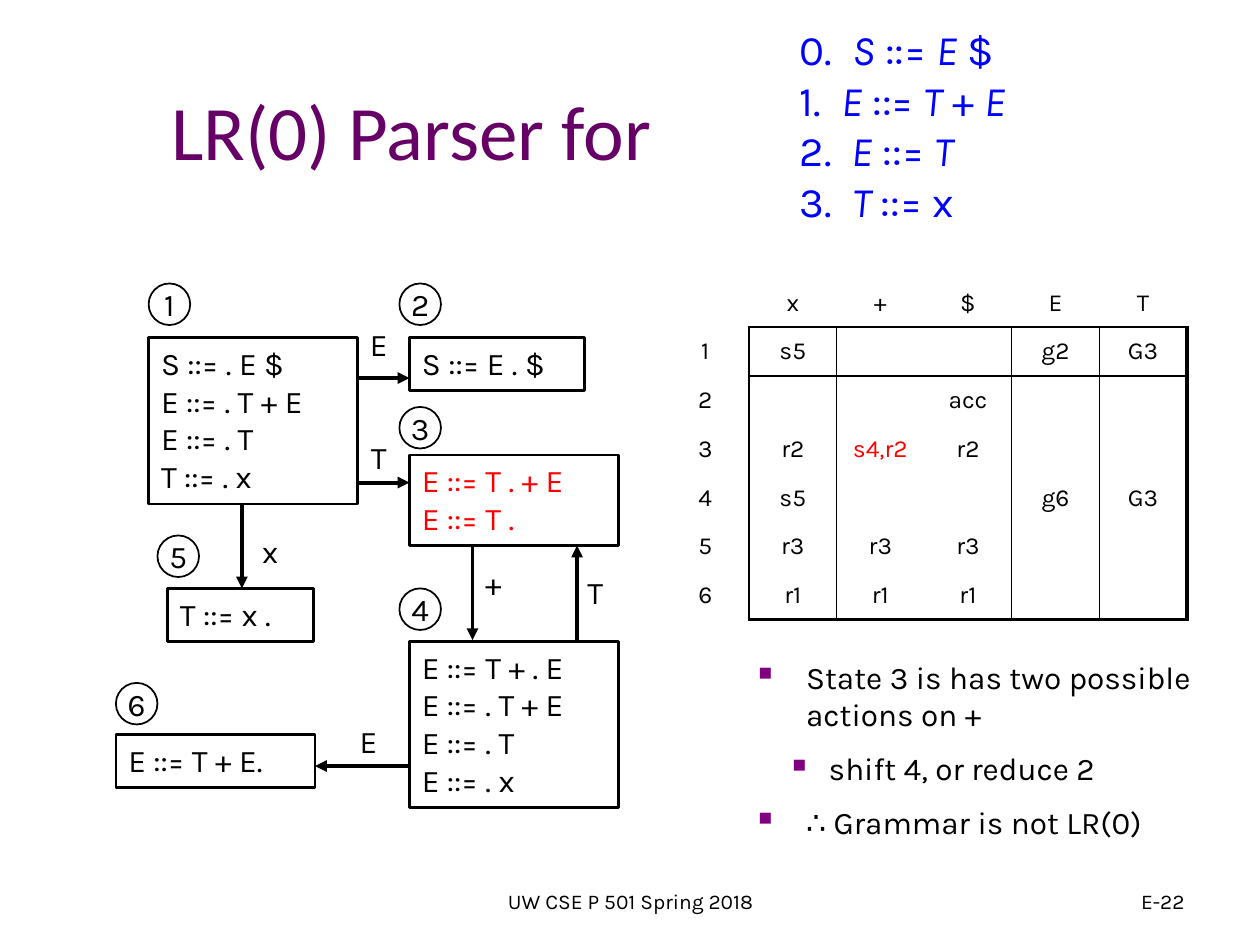
from pptx import Presentation
from pptx import util as u
from pptx.dml.color import RGBColor
from pptx.enum import shapes, text
from pptx.oxml.ns import qn
from lxml import etree

In, Pt = u.Inches, u.Pt
BLACK = RGBColor(0, 0, 0)
RED = RGBColor(255, 0, 0)
BLUE = RGBColor(0, 0, 255)
PLUM = RGBColor(0x66, 0, 0x66)
BULLET = "800080"
LEFT, MID, RIGHT = (text.PP_ALIGN.LEFT, text.PP_ALIGN.CENTER,
                    text.PP_ALIGN.RIGHT)
NO_STYLE = "{2D5ABB26-0587-4C30-8999-92F81FD0307C}"


def sub(node, tag, **attrs):
    return etree.SubElement(node, qn(tag), attrs)


class Deck:
    font = "Karla"

    def __init__(self):
        self.prs = Presentation()
        self.prs.slide_width, self.prs.slide_height = In(10), In(7.5)
        self.slide = self.prs.slides.add_slide(self.prs.slide_layouts[5])
        self.items = self.slide.shapes

    def run(self, para, words, size, color=BLACK, font=None, slant=False):
        r = para.add_run()
        r.text = words
        r.font.size, r.font.name = Pt(size), font or self.font
        r.font.color.rgb, r.font.italic = color, slant

    def fill(self, frame, lines, size=18, color=BLACK, align=LEFT,
             middle=False):
        """Each line is a string or a list of (words, slant) pairs."""
        frame.word_wrap = True
        frame.vertical_anchor = (text.MSO_ANCHOR.MIDDLE if middle
                                 else text.MSO_ANCHOR.TOP)
        for i, line in enumerate(lines):
            para = frame.add_paragraph() if i else frame.paragraphs[0]
            para.alignment = align
            for words, slant in ([(line, False)] if isinstance(line, str)
                                 else line):
                self.run(para, words, size, color, slant=slant)

    def title(self, x, y, w, h, words):
        t = self.items.title
        t.left, t.top, t.width, t.height = In(x), In(y), In(w), In(h)
        frame = t.text_frame
        frame.auto_size = text.MSO_AUTO_SIZE.NONE
        frame.vertical_anchor = text.MSO_ANCHOR.MIDDLE
        frame.paragraphs[0].alignment = LEFT
        self.run(frame.paragraphs[0], words, 44, PLUM, "Calibri")

    def note(self, x, y, w, h, lines, **style):
        frame = self.items.add_textbox(In(x), In(y), In(w), In(h)).text_frame
        self.fill(frame, lines, **style)
        return frame

    def shape(self, kind, x, y, w, h, width, lines, **style):
        s = self.items.add_shape(kind, In(x), In(y), In(w), In(h))
        s.shadow.inherit = False
        s.fill.background()
        s.line.color.rgb, s.line.width = BLACK, Pt(width)
        self.fill(s.text_frame, lines, **style)
        return s.text_frame

    def box(self, x, y, w, lines, color=BLACK):
        self.shape(shapes.MSO_SHAPE.RECTANGLE, x, y, w,
                   0.12 + 0.3 * len(lines), 1.5, lines, color=color)

    def badge(self, x, y, num):
        frame = self.shape(shapes.MSO_SHAPE.OVAL, x, y, 0.33, 0.33, 1,
                           [num], align=MID, middle=True)
        frame.word_wrap = False
        frame.margin_left = frame.margin_right = 0
        frame.margin_top = frame.margin_bottom = 0

    def arrow(self, x1, y1, x2, y2):
        c = self.items.add_connector(shapes.MSO_CONNECTOR.STRAIGHT,
                                     In(x1), In(y1), In(x2), In(y2))
        c.line.color.rgb, c.line.width = BLACK, Pt(2.25)
        sub(c.line._get_or_add_ln(), "a:tailEnd", type="triangle")
        sub(c._element.spPr, "a:effectLst")

    def bullet(self, para, left, hang):
        props = para._p.get_or_add_pPr()
        props.set("marL", str(In(left)))
        props.set("indent", str(-In(hang)))
        sub(sub(props, "a:buClr"), "a:srgbClr", val=BULLET)
        sub(props, "a:buSzPct", val="60000")
        sub(props, "a:buChar", char="■")

    def edge(self, cell, side, width, at):
        ln = etree.Element(qn("a:ln" + side), w=str(Pt(width)))
        sub(sub(ln, "a:solidFill"), "a:srgbClr", val=str(BLACK))
        cell._tc.get_or_add_tcPr().insert(at, ln)

    def table(self, x, y, w, h, rows, cols, lines, hot):
        """cols and lines map grid line numbers to border widths."""
        tall, wide = len(rows), len(rows[0])
        grid = self.items.add_table(tall, wide, In(x), In(y), In(w),
                                    In(h)).table
        grid.first_row = grid.horz_banding = False
        grid._tbl.tblPr.find(qn("a:tableStyleId")).text = NO_STYLE
        for r, row in enumerate(rows):
            grid.rows[r].height = In(h / tall)
            for c, words in enumerate(row):
                cell = grid.cell(r, c)
                cell.fill.background()
                cell.margin_top = cell.margin_bottom = In(0.02)
                cell.vertical_anchor = text.MSO_ANCHOR.MIDDLE
                para = cell.text_frame.paragraphs[0]
                para.alignment = MID
                if words:
                    self.run(para, words, 14, RED if words == hot else BLACK)
                sides = [("L", cols.get(c) if r else None),
                         ("R", cols.get(c + 1) if r else None),
                         ("T", lines.get(r) if c else None),
                         ("B", lines.get(r + 1) if c else None)]
                drawn = [s for s in sides if s[1]]
                for at, (side, width) in enumerate(drawn):
                    self.edge(cell, side, width, at)


deck = Deck()
deck.title(1.26, 0.23, 8.52, 1.6, "LR(0) Parser for")

# Parse table
deck.table(5.25, 2.21, 4.17, 2.71, [
    ["", "x", "+", "$", "E", "T"],
    ["1", "s5", "", "", "g2", "G3"],
    ["2", "", "", "acc", "", ""],
    ["3", "r2", "s4,r2", "r2", "", ""],
    ["4", "s5", "", "", "g6", "G3"],
    ["5", "r3", "r3", "r3", "", ""],
    ["6", "r1", "r1", "r1", "", ""],
], {1: 1, 4: 1, 6: 2.25}, {1: 1, 7: 2.25}, "s4,r2")

# Footer
deck.note(3.42, 6.95, 3.17, 0.4, ["UW CSE P 501 Spring 2018"],
          size=12, align=MID, middle=True)
deck.note(7.17, 6.95, 2.33, 0.4, ["E-22"], size=12, align=RIGHT, middle=True)

# Grammar
deck.note(6.25, 0.14, 2.67, 1.72, [
    [("0.  ", False), ("S", True), (" ::= ", False), ("E", True),
     (" $", False)],
    [("1.  ", False), ("E", True), (" ::= ", False), ("T", True),
     (" + ", False), ("E", True)],
    [("2.  ", False), ("E", True), (" ::= ", False), ("T", True)],
    [("3.  ", False), ("T", True), (" ::= x", False)],
], size=24, color=BLUE)

# States
for x, y, w, lines, color in [
    (1.18, 2.68, 1.66,
     ["S ::= . E $", "E ::= . T + E", "E ::= . T", "T ::= . x"], BLACK),
    (1.33, 4.67, 1.16, ["T ::= x ."], BLACK),
    (3.25, 2.68, 1.39, ["S ::= E . $"], BLACK),
    (3.25, 3.61, 1.66, ["E ::= T . + E", "E ::= T ."], RED),
    (3.25, 5.09, 1.66,
     ["E ::= T + . E", "E ::= . T + E", "E ::= . T", "E ::= . x"], BLACK),
    (0.92, 5.83, 1.58, ["E ::= T + E."], BLACK),
]:
    deck.box(x, y, w, lines, color)

# State numbers
spots = [(1.18, 2.25), (3.17, 2.25), (3.17, 3.23), (3.17, 4.67),
         (1.25, 4.25), (0.92, 5.42)]
for num, (x, y) in enumerate(spots, 1):
    deck.badge(x, y, str(num))

# Moves between states, each with its symbol
for ends, sign, x, y in [
    ((2.83, 3, 3.25, 3), "E", 2.83, 2.53),
    ((2.83, 3.83, 3.25, 3.83), "T", 2.83, 3.43),
    ((3.75, 4.33, 3.75, 5.08), "+", 3.74, 4.43),
    ((4.58, 5.08, 4.58, 4.33), "T", 4.55, 4.5),
    ((1.92, 4, 1.92, 4.67), "x", 1.97, 4.17),
    ((3.25, 6.08, 2.5, 6.08), "E", 2.75, 5.68),
]:
    deck.arrow(*ends)
    deck.note(x, y, 0.35, 0.4, [sign], align=MID).word_wrap = False

# Remarks
frame = deck.note(5.92, 5.17, 3.67, 1.6, [
    "State 3 is has two possible actions on +",
    " shift 4, or reduce 2",
    "∴ Grammar is not LR(0)",
])
for i, para in enumerate(frame.paragraphs):
    para.level = i % 2
    para.space_before = Pt(9 if i else 0)
    deck.bullet(para, *((0.5, 0.23) if i % 2 else (0.38, 0.38)))

deck.prs.save("out.pptx")
